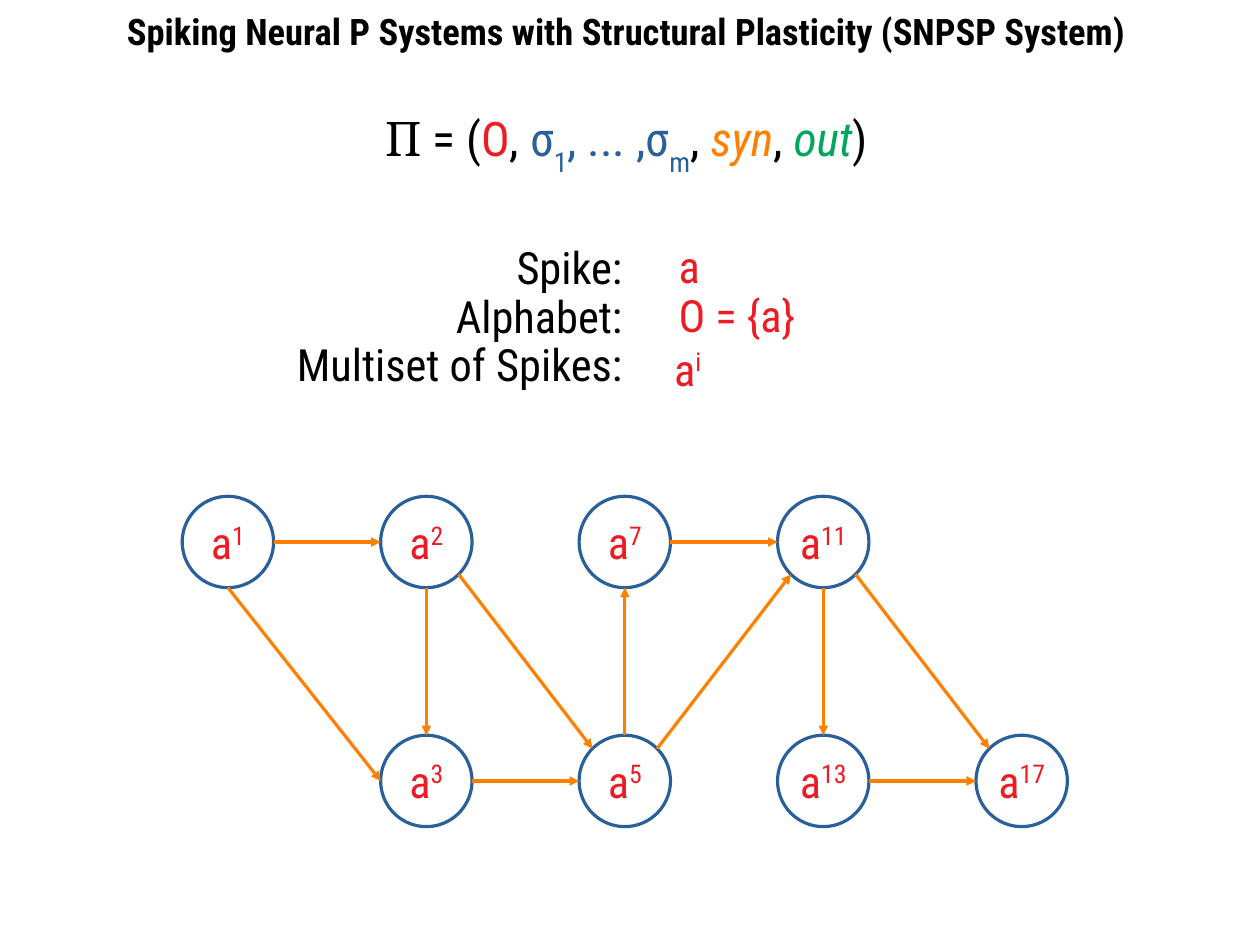
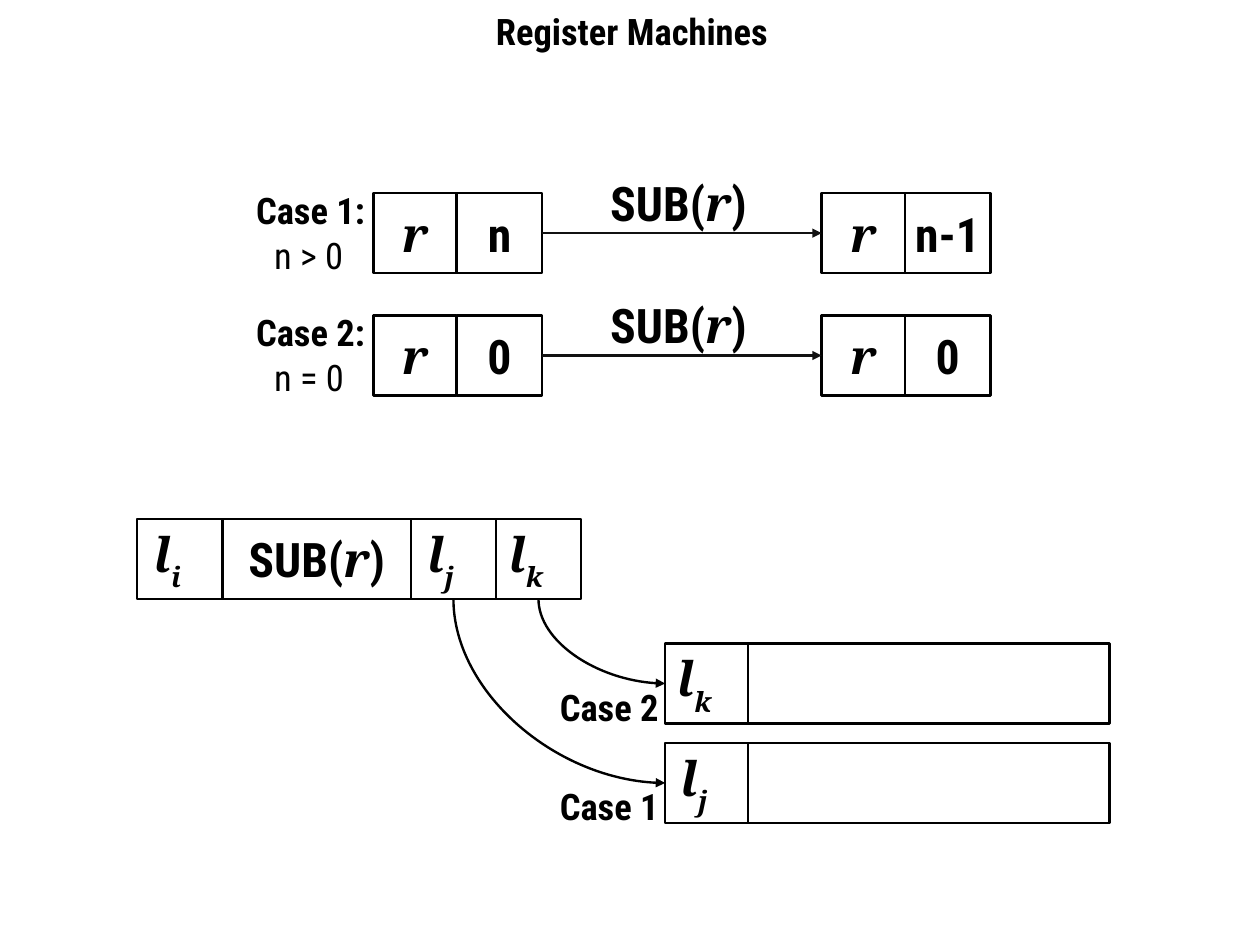
"""Build two slides on spiking neural P systems and register machines."""
from math import cos, pi, sin

from lxml.etree import SubElement
from pptx import Presentation
from pptx.dml.color import RGBColor
from pptx.enum.shapes import MSO_CONNECTOR, MSO_SHAPE
from pptx.enum.text import MSO_ANCHOR, PP_ALIGN
from pptx.oxml.ns import qn
from pptx.util import Cm, Pt

INK = {"black": "000000", "dark": "111111", "red": "ED1C24",
       "blue": "2A6099", "orange": "FF8000", "green": "00A65D"}
SANS, SERIF = "Roboto Condensed", "Noto Serif"
VAR = {"font": SERIF, "slant": True}
BLUE = {"ink": "blue"}
SITES = {MSO_SHAPE.OVAL: 8, MSO_SHAPE.RECTANGLE: 4}

TITLES = [
    ("Spiking Neural P Systems with Structural Plasticity (SNPSP System)", 2.57, 23.2),
    ("Register Machines", 10.77, 7),
]

SYSTEM = [
    ("Π", {"font": SERIF}), (" = (", {}), ("O", {"ink": "red"}), (", ", {}),
    ("σ", BLUE), ("1", BLUE | {"base": -33}), (", ... ,σ", BLUE),
    ("m", BLUE | {"base": -33}), (", ", {}),
    ("syn", {"ink": "orange", "slant": True}), (", ", {}),
    ("out", {"ink": "green", "slant": True}), (")", {}),
]
TERMS = [
    ("Spike:", "a", 14.83, 5.18),
    ("Alphabet:", "O = {a}", 14.83, 6.27),
    ("Multiset of Spikes:", [("a", {}), ("i", {"base": 33})], 14.73, 7.47),
]
NODES = {"1": (0, 0), "2": (1, 0), "7": (2, 0), "11": (3, 0),
         "3": (1, 1), "5": (2, 1), "13": (3, 1), "17": (4, 1)}
EDGES = [
    ("1", 6, "2", 2), ("1", 4, "3", 2), ("2", 4, "3", 0), ("2", 5, "5", 1),
    ("3", 6, "5", 2), ("5", 0, "7", 4), ("7", 6, "11", 2), ("5", 7, "11", 3),
    ("11", 4, "13", 0), ("11", 5, "17", 1), ("13", 6, "17", 2),
]

SUB = [("SUB(", {}), ("r", VAR), (")", {})]
REG = [("r", VAR)]
CASES = [("Case 1:", "n > 0", "n", "n-1"), ("Case 2:", "n = 0", "0", "0")]
JUMPS = [("Case 2", "k", 3), ("Case 1", "j", 2)]


def color(name):
    return RGBColor.from_string(INK[name])


def write(shape, text, size=28, font=SANS, ink="black", bold=False,
          slant=False, align=PP_ALIGN.LEFT, anchor=MSO_ANCHOR.TOP,
          wrap=True, right=0.25):
    frame = shape.text_frame
    frame.word_wrap, frame.vertical_anchor = wrap, anchor
    frame.margin_left, frame.margin_right = Cm(0.25), Cm(right)
    frame.margin_top = frame.margin_bottom = Cm(0.13)
    para = frame.paragraphs[0]
    para.alignment = align
    for part, extra in [(text, {})] if isinstance(text, str) else text:
        run = para.add_run()
        run.text = part
        look = run.font
        look.name, look.size = extra.get("font", font), Pt(size)
        look.bold, look.italic = bold, extra.get("slant", slant)
        look.color.rgb = color(extra.get("ink", ink))
        if "base" in extra:
            run._r.get_or_add_rPr().set("baseline", str(extra["base"] * 1000))


def label(slide, text, x, y, wide, high=1.55, **form):
    write(slide.shapes.add_textbox(Cm(x), Cm(y), Cm(wide), Cm(high)), text, **form)


def outline(slide, kind, x, y, wide, high, edge, width, text, **form):
    shape = slide.shapes.add_shape(kind, Cm(x), Cm(y), Cm(wide), Cm(high))
    shape.shadow.inherit = False
    shape.fill.background()
    shape.line.color.rgb, shape.line.width = color(edge), Pt(width)
    if text:
        write(shape, text, align=PP_ALIGN.CENTER, anchor=MSO_ANCHOR.MIDDLE,
              wrap=False, **form)
    return shape


def row(slide, x, y, cells):
    shapes = []
    for text, wide in cells:
        right = 0.8 if text and "base" in text[-1][1] else 0.25
        shapes.append(outline(slide, MSO_SHAPE.RECTANGLE, x, y, wide, 1.78,
                              "black", 1.5, text, size=30, bold=True, right=right))
        x += wide
    return shapes


def spot(shape, site):
    turn = pi / 2 + 2 * pi * site / SITES[shape.auto_shape_type]
    return (shape.left + shape.width * (1 + cos(turn)) / 2,
            shape.top + shape.height * (1 - sin(turn)) / 2)


def arrow(slide, start, out, end, into, ink, width, curve=False):
    (x1, y1), (x2, y2) = spot(start, out), spot(end, into)
    kind = MSO_CONNECTOR.STRAIGHT
    if curve:
        kind = MSO_CONNECTOR.CURVE
        midx, midy, dx, dy = (x1 + x2) / 2, (y1 + y2) / 2, (x2 - x1) / 2, (y2 - y1) / 2
        x1, y1, x2, y2 = midx + dy, midy - dx, midx - dy, midy + dx
    link = slide.shapes.add_connector(kind, *(round(v) for v in (x1, y1, x2, y2)))
    link.line.color.rgb, link.line.width = color(ink), Pt(width)
    props = link._element.spPr
    if curve:
        props.find(qn("a:xfrm")).set("rot", "16200000")
        props.find(qn("a:prstGeom")).set("prst", "curvedConnector2")
    SubElement(props.find(qn("a:ln")), qn("a:tailEnd"), type="triangle")
    SubElement(props, qn("a:effectLst"))
    glue = link._element.find(".//" + qn("p:cNvCxnSpPr"))
    for tag, shape, site in (("a:stCxn", start, out), ("a:endCxn", end, into)):
        SubElement(glue, qn(tag), id=str(shape.shape_id), idx=str(site))


def begin(deck, text, x, wide):
    slide = deck.slides.add_slide(deck.slide_layouts[5])
    title = slide.shapes.title
    title.left, title.top, title.width, title.height = Cm(x), Cm(0.08), Cm(wide), Cm(1.32)
    write(title, text, size=23, bold=True)
    return slide


def draw_net(slide):
    label(slide, SYSTEM, 8.31, 2.29, 11.6, 1.9, size=30)
    for i, (term, value, x, y) in enumerate(TERMS):
        label(slide, term, 5.08, 5.21 + 1.08 * i, 9, align=PP_ALIGN.RIGHT)
        label(slide, value, x, y, 4, ink="red")
    nodes = {}
    for power, (col, line) in NODES.items():
        nodes[power] = outline(
            slide, MSO_SHAPE.OVAL, 4.05 + 4.41 * col, 11.03 + 5.31 * line, 2.03, 2.03,
            "blue", 2, [("a", {}), (power, {"base": 33})], ink="red")
    for start, out, end, into in EDGES:
        arrow(slide, nodes[start], out, nodes[end], into, "orange", 2)


def index(name):
    return [("l", VAR), (name, VAR | {"base": -33})]


def draw_steps(slide):
    for i, (case, test, old, new) in enumerate(CASES):
        y = 4.29 + 2.72 * i
        left, right = (row(slide, x, y, [(REG, 1.85), ([(held, {})], 1.9)])
                       for x, held in ((8.3, old), (18.26, new)))
        arrow(slide, left[1], 3, right[0], 1, "dark", 1.5)
        label(slide, SUB, 13.31, y - 0.56, 3.8, 1.7, size=30, bold=True)
        label(slide, case, 5.44, y - 0.25, 3.1, 1.32, size=23, bold=True)
        label(slide, test, 5.84, y + 0.76, 2.4, 1.32, size=23)
    order = row(slide, 3.05, 11.53, [(index("i"), 1.9), (SUB, 4.18),
                                     (index("j"), 1.89), (index("k"), 1.89)])
    for i, (case, name, cell) in enumerate(JUMPS):
        y = 14.3 + 2.21 * i
        goal = row(slide, 14.78, y, [(index(name), 1.85), (None, 8.03)])
        arrow(slide, order[cell], 2, goal[0], 1, "black", 1.5, curve=True)
        label(slide, case, 12.19, y + 0.79, 3.02, 1.32, size=23, bold=True)


def main():
    deck = Presentation()
    deck.slide_width, deck.slide_height = Cm(28), Cm(21)
    for title, draw in zip(TITLES, (draw_net, draw_steps)):
        draw(begin(deck, *title))
    deck.save("out.pptx")


if __name__ == "__main__":
    main()
